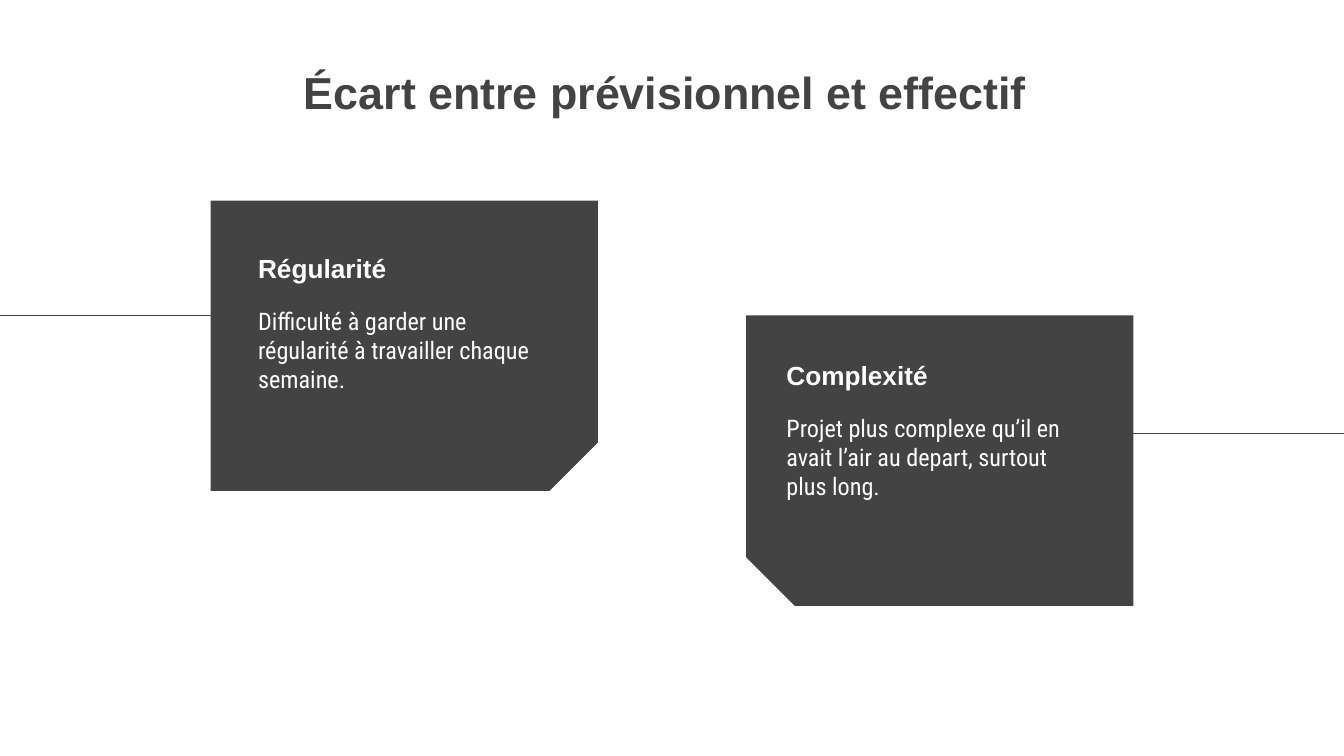
from pptx import Presentation
from pptx import util as u
from pptx.dml.color import RGBColor
from pptx.enum import shapes, text

GREY = RGBColor(0x43, 0x43, 0x43)
WHITE = RGBColor(0xFF, 0xFF, 0xFF)
HEAD, BODY = "Arial", "Roboto Condensed"
WIDE, HIGH = 3.84, 2.88


class Board:
    """Style and current slide."""

    def __init__(self, slide):
        self.slide = slide
        self.items = slide.shapes

    def fill_text(self, box, words, size, color, face=HEAD, bold=True,
                  align=text.PP_ALIGN.LEFT, anchor=text.MSO_ANCHOR.TOP):
        frame = box.text_frame
        frame.text = words
        frame.word_wrap = True
        frame.auto_size = text.MSO_AUTO_SIZE.NONE
        frame.vertical_anchor = anchor
        frame.margin_left = frame.margin_right = u.Inches(0.13)
        frame.margin_top = frame.margin_bottom = u.Inches(0.13)
        para = frame.paragraphs[0]
        para.alignment = align
        para.line_spacing = 1.0
        para.space_before = u.Pt(0)
        font = para.font
        font.name, font.size, font.bold = face, u.Pt(size), bold
        font.color.rgb = color

    def title(self, words, x, y, w, h):
        box = self.items.title
        box.left, box.top = u.Inches(x), u.Inches(y)
        box.width, box.height = u.Inches(w), u.Inches(h)
        self.fill_text(box, words, 32, GREY, align=text.PP_ALIGN.CENTER)

    def label(self, words, x, y, w, h, size, **style):
        box = self.items.add_textbox(*map(u.Inches, (x, y, w, h)))
        self.fill_text(box, words, size, WHITE, **style)

    def card(self, x, y, turn):
        # A quarter turn swaps the sides around the same centre
        w, h = (HIGH, WIDE) if turn == 90 else (WIDE, HIGH)
        left, top = x + (WIDE - w) / 2, y + (HIGH - h) / 2
        card = self.items.add_shape(shapes.MSO_SHAPE.SNIP_1_RECTANGLE,
                                    *map(u.Inches, (left, top, w, h)))
        card.adjustments[0] = 0.167
        card.rotation = turn
        card.shadow.inherit = False
        card.fill.solid()
        card.fill.fore_color.rgb = GREY
        card.line.fill.background()

    def line(self, start, end, y):
        line = self.items.add_connector(
            shapes.MSO_CONNECTOR.STRAIGHT,
            *map(u.Inches, (start, y, end, y)))
        line.line.color.rgb = GREY
        line.line.width = u.Pt(0.75)
        props = line._element.spPr
        props.append(props.makeelement(
            "{http://schemas.openxmlformats.org/drawingml/2006/main}effectLst",
            {}))


def main():
    deck = Presentation()
    deck.slide_width, deck.slide_height = u.Inches(13.33), u.Inches(7.5)
    board = Board(deck.slides.add_slide(deck.slide_layouts[5]))

    # Title
    board.title("Écart entre prévisionnel et effectif", 2.8, 0.51, 7.6, 1.38)

    # Lines to the slide edges
    board.line(0, 3.53, 3.13)
    board.line(9.74, 13.33, 4.3)

    # Cards: corner, turn, text left, heading top, body top, words
    cards = [
        (2.09, 1.99, 90, 2.43, 2.32, 2.91, "Régularité",
         "Difficulté à garder une régularité à travailler chaque semaine."),
        (7.4, 3.13, 180, 7.67, 3.39, 3.97, "Complexité",
         "Projet plus complexe qu’il en avait l’air au depart, "
         "surtout plus long."),
    ]
    for x, y, turn, left, top, low, head, body in cards:
        board.card(x, y, turn)
        board.label(head, left, top, 1.83, 0.62, 18.7,
                    anchor=text.MSO_ANCHOR.BOTTOM)
        board.label(body, left, low, 3.15, 1.46, 17.3, face=BODY, bold=False)

    deck.save("out.pptx")


if __name__ == "__main__":
    main()
